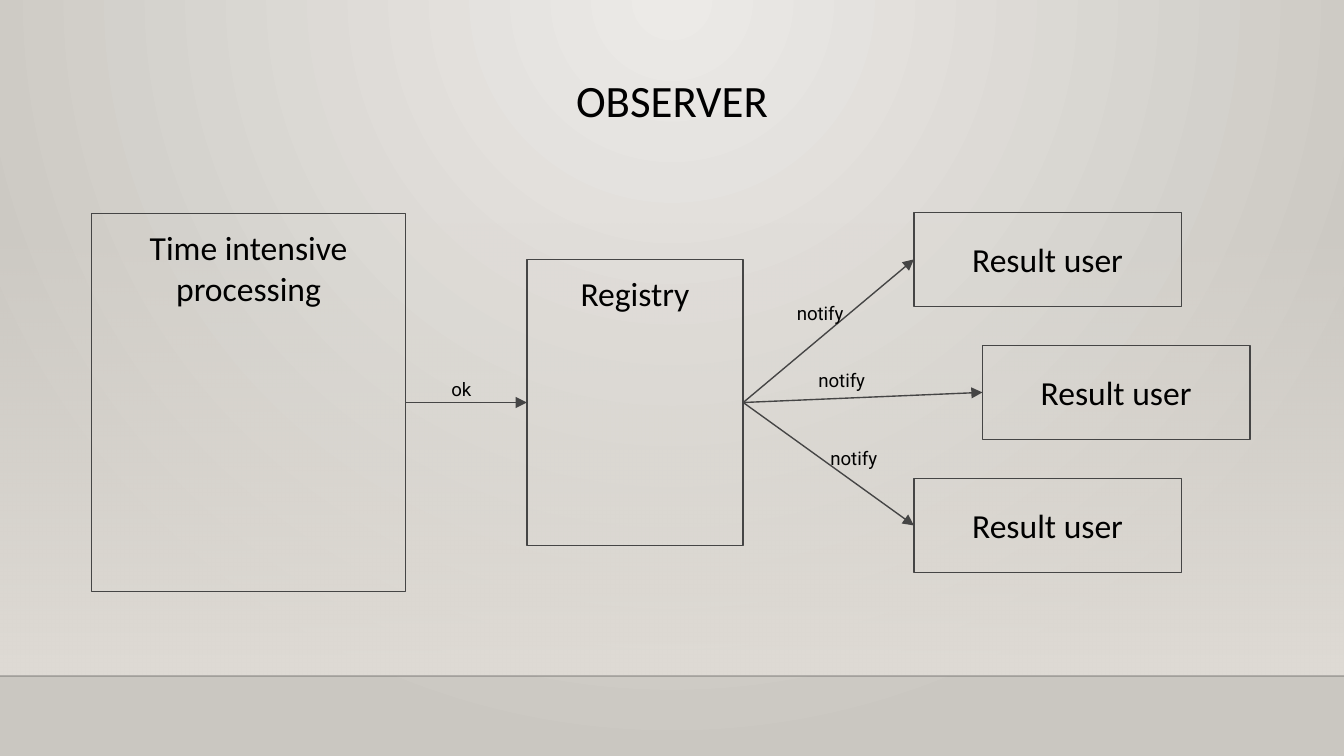
from pptx import Presentation
from pptx.dml.color import RGBColor
from pptx.enum.shapes import MSO_CONNECTOR, MSO_SHAPE
from pptx.enum.text import MSO_ANCHOR, MSO_AUTO_SIZE, PP_ALIGN
from pptx.oxml.ns import qn
from pptx.util import Inches, Pt
from lxml.etree import SubElement

BLACK = RGBColor(0x00, 0x00, 0x00)
OUTLINE = RGBColor(0x45, 0x45, 0x45)
FLOOR_LINE = RGBColor(0x00, 0x00, 0x01)
WALL_LIGHT = RGBColor(0xEC, 0xEA, 0xE7)
WALL_DARK = RGBColor(0xCA, 0xC7, 0xC1)
HAZE = RGBColor(0xDF, 0xDB, 0xD5)


def write_text(shape, text, size, font, alignment=PP_ALIGN.CENTER, anchor=MSO_ANCHOR.TOP):
    frame = shape.text_frame
    frame.margin_left = frame.margin_right = Inches(0.1)
    frame.margin_top = frame.margin_bottom = Inches(0.1)
    frame.word_wrap = True
    frame.vertical_anchor = anchor
    frame.text = text
    paragraph = frame.paragraphs[0]
    paragraph.alignment = alignment
    run_font = paragraph.runs[0].font
    run_font.name = font
    run_font.size = Pt(size)
    run_font.color.rgb = BLACK


def add_line(shapes, start, end, color, width):
    x1, y1, x2, y2 = (Inches(value) for value in (*start, *end))
    connector = shapes.add_connector(MSO_CONNECTOR.STRAIGHT, x1, y1, x2, y2)
    connector.line.color.rgb = color
    connector.line.width = Pt(width)
    SubElement(connector._element.spPr, qn("a:effectLst"))
    return connector


# 16:9 slide
presentation = Presentation()
presentation.slide_width = Inches(10)
presentation.slide_height = Inches(10) * 9 // 16
slide = presentation.slides.add_slide(presentation.slide_layouts[6])
shapes = slide.shapes

# Background: radial gradient spreading from the top centre
wall = slide.background.fill
wall.gradient()
for stop, color in zip(wall.gradient_stops, (WALL_LIGHT, WALL_DARK)):
    stop.color.rgb = color
gradient = next(slide._element.iter(qn("a:gradFill")))
gradient.remove(gradient.find(qn("a:lin")))
radial = SubElement(gradient, qn("a:path"), {"path": "circle"})
SubElement(radial, qn("a:fillToRect"), {"l": "43000", "r": "43000", "b": "100000"})

# Haze that fades in towards the floor
haze = shapes.add_shape(MSO_SHAPE.RECTANGLE, 0, Inches(1.66), Inches(10), Inches(3.37))
haze.shadow.inherit = False
haze.line.fill.background()
haze.fill.gradient()
haze.fill.gradient_angle = 270
for stop in haze.fill.gradient_stops:
    stop.color.rgb = HAZE
first_color = next(haze._element.spPr.iter(qn("a:srgbClr")))
SubElement(first_color, qn("a:alpha"), {"val": "0"})

# Floor line
floor = add_line(shapes, (0, 5.03), (10, 5.03), FLOOR_LINE, 1)
floor_color = next(floor._element.spPr.iter(qn("a:srgbClr")))
SubElement(floor_color, qn("a:alpha"), {"val": "20000"})

# Title
title = shapes.add_textbox(Inches(0.34), Inches(0.49), Inches(9.32), Inches(0.63))
write_text(title, "OBSERVER", 24, "Calibri")
title.text_frame.paragraphs[0].line_spacing = 0.9

# Boxes: text, left, top, width, height, anchor
boxes = [
    ("Time intensive processing", 0.68, 1.59, 2.34, 2.81, MSO_ANCHOR.TOP),
    ("Registry", 3.92, 1.93, 1.61, 2.13, MSO_ANCHOR.TOP),
]
for row, left in enumerate((6.8, 7.31, 6.8)):
    boxes.append(("Result user", left, 1.58 + 0.99 * row, 1.99, 0.7, MSO_ANCHOR.MIDDLE))

box_shapes = []
for text, left, top, width, height, anchor in boxes:
    box = shapes.add_shape(MSO_SHAPE.RECTANGLE, Inches(left), Inches(top),
                           Inches(width), Inches(height))
    box.shadow.inherit = False
    box.fill.background()
    box.line.color.rgb = OUTLINE
    box.line.width = Pt(0.75)
    write_text(box, text, 18, "Calibri", anchor=anchor)
    box_shapes.append(box)

# Arrows from the right side of one box to the left side of the next
processing, registry, *users = box_shapes
for source, target in [(processing, registry)] + [(registry, user) for user in users]:
    arrow = add_line(shapes, (0, 0), (1, 1), OUTLINE, 0.75)
    arrow.begin_connect(source, 3)
    arrow.end_connect(target, 1)
    SubElement(arrow.line._get_or_add_ln(), qn("a:tailEnd"), {"type": "triangle"})

# Arrow labels
labels = [
    ("ok", 3.26, 2.73, 0.51),
    ("notify", 5.83, 2.16, 0.61),
    ("notify", 5.99, 2.66, 0.61),
    ("notify", 6.08, 3.24, 0.61),
]
for text, left, top, width in labels:
    label = shapes.add_textbox(Inches(left), Inches(top), Inches(width), Inches(0.37))
    write_text(label, text, 10, "Roboto", PP_ALIGN.LEFT)
    label.text_frame.auto_size = MSO_AUTO_SIZE.SHAPE_TO_FIT_TEXT

presentation.save("out.pptx")
